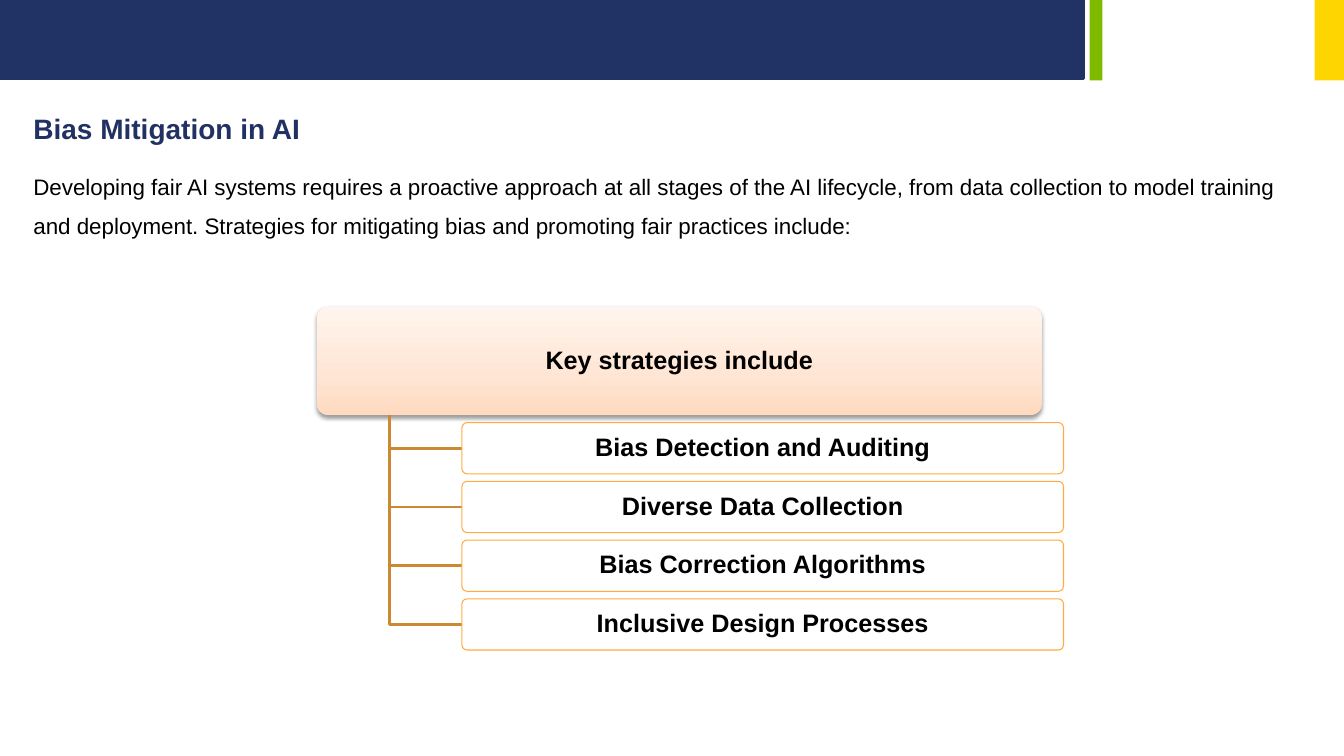
from lxml.etree import SubElement
from pptx import Presentation
from pptx.dml.color import RGBColor
from pptx.enum.shapes import MSO_SHAPE
from pptx.enum.text import MSO_ANCHOR, MSO_AUTO_SIZE, PP_ALIGN
from pptx.oxml import parse_xml
from pptx.oxml.ns import nsdecls, qn
from pptx.util import Cm, Pt

NAVY, GREEN, YELLOW = "213264", "7FBA00", "FED500"
TITLE_BLUE, BLACK, WHITE = "213163", "000000", "FFFFFF"
ORANGE, BROWN = "FFAB40", "CC8933"
STRATEGIES = [
    "Bias Detection and Auditing",
    "Diverse Data Collection",
    "Bias Correction Algorithms",
    "Inclusive Design Processes",
]


def color(value):
    return RGBColor.from_string(value)


def place(shape, left, top, width, height):
    shape.left, shape.top = Cm(left), Cm(top)
    shape.width, shape.height = Cm(width), Cm(height)


def style_text(shape, text, size, ink, bold, align, anchor, margins):
    frame = shape.text_frame
    frame.word_wrap = True
    frame.auto_size = MSO_AUTO_SIZE.NONE
    frame.vertical_anchor = anchor
    frame.margin_left = frame.margin_right = Cm(margins[0])
    frame.margin_top = frame.margin_bottom = Cm(margins[1])
    frame.text = text
    para = frame.paragraphs[0]
    # No bullet and no hanging indent
    properties = para._p.get_or_add_pPr()
    properties.set("marL", "0")
    properties.set("indent", "0")
    SubElement(properties, qn("a:buNone"))
    para.alignment = align
    para.space_before = Pt(0)
    para.font.name, para.font.size, para.font.bold = "Arial", Pt(size), bold
    para.font.color.rgb = color(ink)
    return para


def add_header(page, left, top):
    # Navy band, then green and yellow accents: offset, width, height, fill
    bars = [(0, 27.31, 1.98, NAVY), (27.46, 0.32, 2.03, GREEN), (33.13, 0.74, 2.03, YELLOW)]
    for offset, width, height, fill in bars:
        bar = page.shapes.add_shape(
            MSO_SHAPE.RECTANGLE, Cm(left + offset), Cm(top), Cm(width), Cm(height))
        bar.shadow.inherit = False
        bar.fill.solid()
        bar.fill.fore_color.rgb = color(fill)
        if fill == NAVY:
            bar.line.color.rgb = color(NAVY)
            bar.line.width = Pt(2)
        else:
            bar.line.fill.background()


def add_intro(page, left, top):
    # Heading
    title = page.shapes.title
    place(title, left, top, 26.52, 1.12)
    style_text(title, "Bias Mitigation in AI", 20, TITLE_BLUE, True,
               PP_ALIGN.LEFT, MSO_ANCHOR.TOP, (0.25, 0.13))

    # Introductory paragraph
    body = page.placeholders[1]
    place(body, left + 0.25, top + 1.38, 31.34, 2.01)
    para = style_text(
        body,
        "Developing fair AI systems requires a proactive approach at all stages of the AI "
        "lifecycle, from data collection to model training and deployment. Strategies for "
        "mitigating bias and promoting fair practices include:",
        16, BLACK, False, PP_ALIGN.LEFT, MSO_ANCHOR.TOP, (0, 0))
    para.line_spacing = Pt(28)


def add_card(page, text, left, top, width, height):
    card = page.shapes.add_shape(
        MSO_SHAPE.ROUNDED_RECTANGLE, Cm(left), Cm(top), Cm(width), Cm(height))
    card.adjustments[0] = 0.1
    card.shadow.inherit = False
    para = style_text(card, text, 18, BLACK, True,
                      PP_ALIGN.CENTER, MSO_ANCHOR.MIDDLE, (0.15, 0.1))
    para.line_spacing = 0.9
    return card


def finish_lead_card(card):
    # Three-stop gradient rising from the bottom edge
    card.line.fill.background()
    card.fill.gradient()
    gradient = card._element.spPr.find(qn("a:gradFill"))
    stops = "".join(
        f'<a:gs pos="{position * 1000}"><a:srgbClr val="{tint}"/></a:gs>'
        for position, tint in [(0, "FFDAC0"), (35, "FFE5D3"), (100, "FFF5EE")])
    gradient.getparent().replace(gradient, parse_xml(
        f'<a:gradFill {nsdecls("a")} rotWithShape="1"><a:gsLst>{stops}</a:gsLst>'
        '<a:lin ang="16200000" scaled="0"/></a:gradFill>'))

    # Soft shadow below
    card._element.spPr.find(qn("a:effectLst")).append(parse_xml(
        f'<a:outerShdw {nsdecls("a")} blurRad="{Pt(3.1)}" dist="{Pt(1.6)}" dir="5400000" '
        f'rotWithShape="0"><a:srgbClr val="{BLACK}"><a:alpha val="38000"/></a:srgbClr>'
        '</a:outerShdw>'))


def finish_strategy_card(card):
    card.fill.solid()
    card.fill.fore_color.rgb = color(WHITE)
    tint = card._element.spPr.find(qn("a:solidFill")).find(qn("a:srgbClr"))
    SubElement(tint, qn("a:alpha")).set("val", "90000")
    card.line.color.rgb = color(ORANGE)
    card.line.width = Pt(0.75)


def add_branch(page, trunk, top, end, middle):
    builder = page.shapes.build_freeform(Cm(trunk), Cm(top))
    builder.add_line_segments(
        [(Cm(trunk), Cm(middle)), (Cm(end), Cm(middle))], close=False)
    branch = builder.convert_to_shape()
    branch.shadow.inherit = False
    branch.fill.background()
    branch.line.color.rgb = color(BROWN)
    branch.line.width = Pt(2)


def add_hierarchy(page, left, top, width):
    # Lead card; the trunk and the strategies are indented by tenths of its width
    lead_height, card_width, card_height, gap = 2.72, 15.16, 1.29, 0.19
    indent = width / 10
    bottom = top + lead_height
    finish_lead_card(add_card(page, "Key strategies include", left, top, width, lead_height))

    # Strategies, each with its branch
    for index, strategy in enumerate(STRATEGIES):
        card_left = left + 2 * indent
        card_top = bottom + gap + index * (card_height + gap)
        add_branch(page, left + indent, bottom, card_left, card_top + card_height / 2)
        finish_strategy_card(
            add_card(page, strategy, card_left, card_top, card_width, card_height))


def main():
    deck = Presentation()
    deck.slide_width, deck.slide_height = Cm(33.87), Cm(19.05)
    page = deck.slides.add_slide(deck.slide_layouts[1])
    add_header(page, 0, 0)
    add_intro(page, 0.59, 2.67)
    add_hierarchy(page, 7.99, 7.74, 18.26)
    deck.save("out.pptx")


if __name__ == "__main__":
    main()
